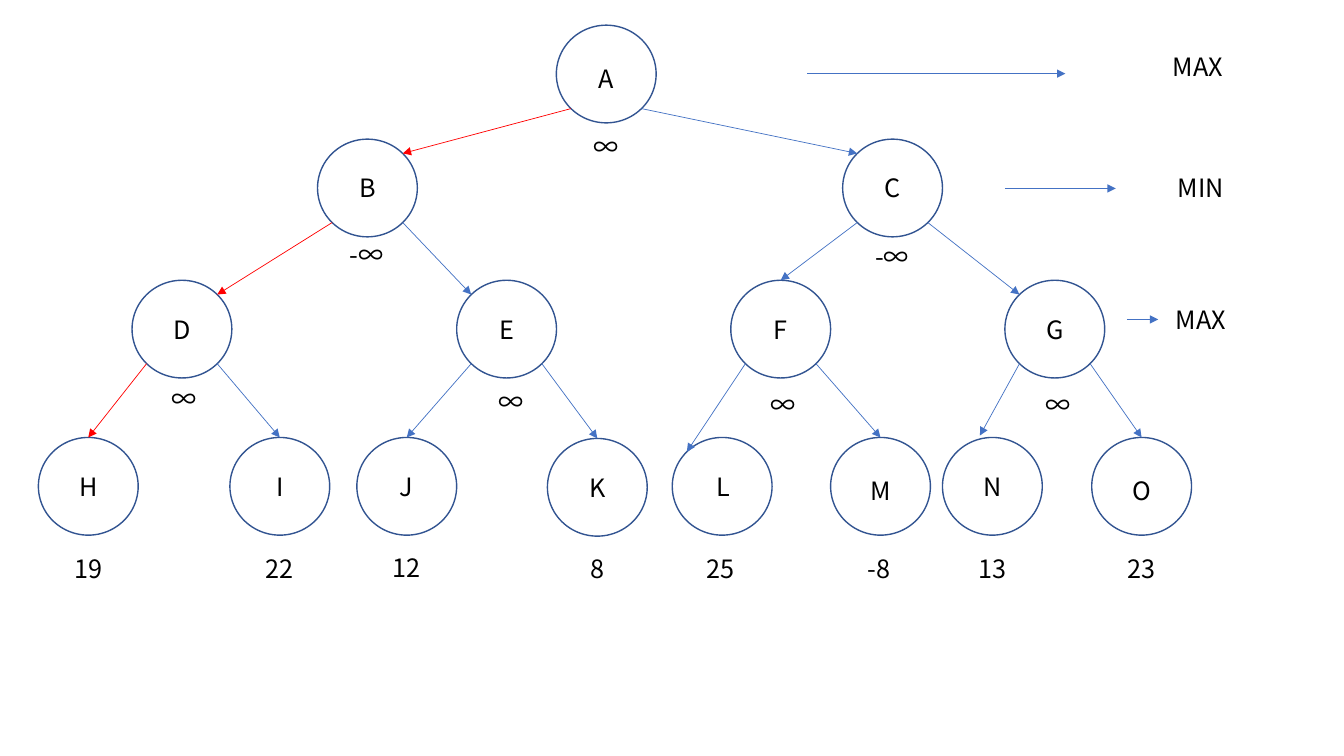
"""Build a slide with a minimax game tree, its leaf scores and its level names."""
import dataclasses
import typing

import pptx
import pptx.dml.color
import pptx.enum.shapes
import pptx.enum.text
import pptx.oxml
import pptx.oxml.ns
import pptx.util

Pt = pptx.util.Pt
Point = typing.Tuple[float, float]

COLORS = {"node": "FFFFFF", "outline": "325491", "edge": "4472C4",
          "visited": "FF0000", "text": "000000"}
FONT = "Noto Sans CJK KR"
NODE_WIDTH, NODE_HEIGHT = 71.3, 69.8
LABEL_HEIGHT = 28.8
LETTER_WIDTH, SCORE_WIDTH, LEVEL_WIDTH = 38.9, 57.6, 79.9
BOUND_WIDTHS = {"∞": 28.1, "-∞": 39.2}
LEVEL_1, LEVEL_2, LEVEL_3, LEVEL_4 = 18, 99.4, 200.2, 312.5

NEAR, FAR = 0.146, 0.854
TOP, TOP_LEFT, TOP_RIGHT = (0.5, 0), (NEAR, NEAR), (FAR, NEAR)
BOTTOM_LEFT, BOTTOM_RIGHT = (NEAR, FAR), (FAR, FAR)


@dataclasses.dataclass(frozen=True)
class Node:
    letter: str
    left: float
    top: float
    value: str
    parent: str = ""
    entry: Point = TOP
    visited: bool = False
    letter_drop: float = 20.5
    letter_shift: float = 0
    value_drop: float = 79.2
    value_shift: float = 0

    @property
    def center(self) -> float:
        return self.left + NODE_WIDTH / 2

    def at(self, fraction: Point) -> Point:
        return (self.left + fraction[0] * NODE_WIDTH,
                self.top + fraction[1] * NODE_HEIGHT)


@dataclasses.dataclass(frozen=True)
class Level:
    player: str
    left: float
    top: float
    arrow_start: float
    arrow_end: float
    arrow_y: float


NODES = [
    Node("A", 397.4, LEVEL_1, "∞", letter_drop=23.8, value_drop=72, value_shift=-2),
    Node("B", 226.8, LEVEL_2, "-∞", "A", TOP_RIGHT, True, value_drop=67.7),
    Node("C", 601.9, LEVEL_2, "-∞", "A", TOP_LEFT, value_drop=69.1),
    Node("D", 94.3, LEVEL_3, "∞", "B", TOP_RIGHT, True, value_drop=69.8, value_shift=-0.7),
    Node("E", 326.2, LEVEL_3, "∞", "B", TOP_LEFT, value_drop=72, value_shift=1.4),
    Node("F", 522, LEVEL_3, "∞", "C", value_drop=74.2),
    Node("G", 717.8, LEVEL_3, "∞", "C", TOP_LEFT, value_drop=74.2),
    Node("H", 27.4, LEVEL_4, "19", "D", visited=True),
    Node("I", 164.2, LEVEL_4, "22", "D"),
    Node("J", 254.9, LEVEL_4, "12", "E", value_drop=78.5),
    Node("K", 391, LEVEL_4 + 0.7, "8", "E", value_drop=78.5),
    Node("L", 480.2, LEVEL_4, "25", "F", TOP_LEFT, letter_shift=1, value_shift=-1),
    Node("M", 593.3, LEVEL_4, "-8", "F", letter_drop=23.8, value_shift=-1),
    Node("N", 673.2, LEVEL_4, "13", "G", (0.375, -0.02)),
    Node("O", 779.8, LEVEL_4, "23", "G", letter_drop=23.8),
]

LEVELS = [
    Level("MAX", 815.8, 33.1, 576.7, 761, 52.6),
    Level("MIN", 817.9, 119.5, 717.8, 797, 134.6),
    Level("MAX", 817.9, 213.8, 805, 827.3, 228.2),
]


def rgb(name: str) -> pptx.dml.color.RGBColor:
    return pptx.dml.color.RGBColor.from_string(COLORS[name])


def add_label(text: str, *, left: float, top: float, width: float,
              size: float = 18, color: str = "text", centered: bool = True) -> None:
    frame = slide.shapes.add_textbox(
        Pt(left), Pt(top), Pt(width), Pt(LABEL_HEIGHT)).text_frame
    frame.word_wrap = True
    frame.auto_size = pptx.enum.text.MSO_AUTO_SIZE.SHAPE_TO_FIT_TEXT
    paragraph = frame.paragraphs[0]
    align = pptx.enum.text.PP_ALIGN
    paragraph.alignment = align.CENTER if centered else align.LEFT
    run = paragraph.add_run()
    run.text = text
    run.font.size = Pt(size)
    run.font.name = FONT
    run.font.color.rgb = rgb(color)
    east_asian = pptx.oxml.ns.qn("a:ea")
    run.font._element.append(
        run.font._element.makeelement(east_asian, {"typeface": FONT}))


def add_arrow(start: Point, end: Point, color: str = "edge") -> None:
    arrow = slide.shapes.add_connector(
        pptx.enum.shapes.MSO_CONNECTOR.STRAIGHT, *(Pt(n) for n in start + end))
    arrow.line.width = Pt(0.5)
    arrow.line.color.rgb = rgb(color)
    namespace = pptx.oxml.ns.nsdecls("a")
    arrow.line._get_or_add_ln().append(
        pptx.oxml.parse_xml(f'<a:tailEnd {namespace} type="triangle"/>'))
    arrow._element.spPr.append(pptx.oxml.parse_xml(f"<a:effectLst {namespace}/>"))


def add_circle(node: Node) -> None:
    circle = slide.shapes.add_shape(
        pptx.enum.shapes.MSO_SHAPE.FLOWCHART_CONNECTOR,
        Pt(node.left), Pt(node.top), Pt(NODE_WIDTH), Pt(NODE_HEIGHT))
    circle.shadow.inherit = False
    circle.fill.solid()
    circle.fill.fore_color.rgb = rgb("node")
    circle.line.color.rgb = rgb("outline")
    circle.line.width = Pt(1)


def add_edge(parent: Node, child: Node) -> None:
    leave = BOTTOM_LEFT if child.left < parent.left else BOTTOM_RIGHT
    add_arrow(parent.at(leave), child.at(child.entry),
              "visited" if child.visited else "edge")


def add_node_labels(node: Node) -> None:
    add_label(node.letter, left=node.center + node.letter_shift - LETTER_WIDTH / 2,
              top=node.top + node.letter_drop, width=LETTER_WIDTH)
    width = BOUND_WIDTHS.get(node.value, SCORE_WIDTH)
    add_label(node.value, left=node.center + node.value_shift - width / 2,
              top=node.top + node.value_drop, width=width,
              centered=node.value not in BOUND_WIDTHS)


def add_level(level: Level) -> None:
    add_label(level.player, left=level.left, top=level.top, width=LEVEL_WIDTH)
    add_arrow((level.arrow_start, level.arrow_y), (level.arrow_end, level.arrow_y))


presentation = pptx.Presentation()
presentation.slide_width, presentation.slide_height = Pt(960), Pt(540)
slide = presentation.slides.add_slide(presentation.slide_layouts[6])

tree = {node.letter: node for node in NODES}
for node in NODES:
    add_circle(node)
for node in NODES:
    if node.parent:
        add_edge(tree[node.parent], node)
for node in NODES:
    add_node_labels(node)
for level in LEVELS:
    add_level(level)

presentation.save("out.pptx")
